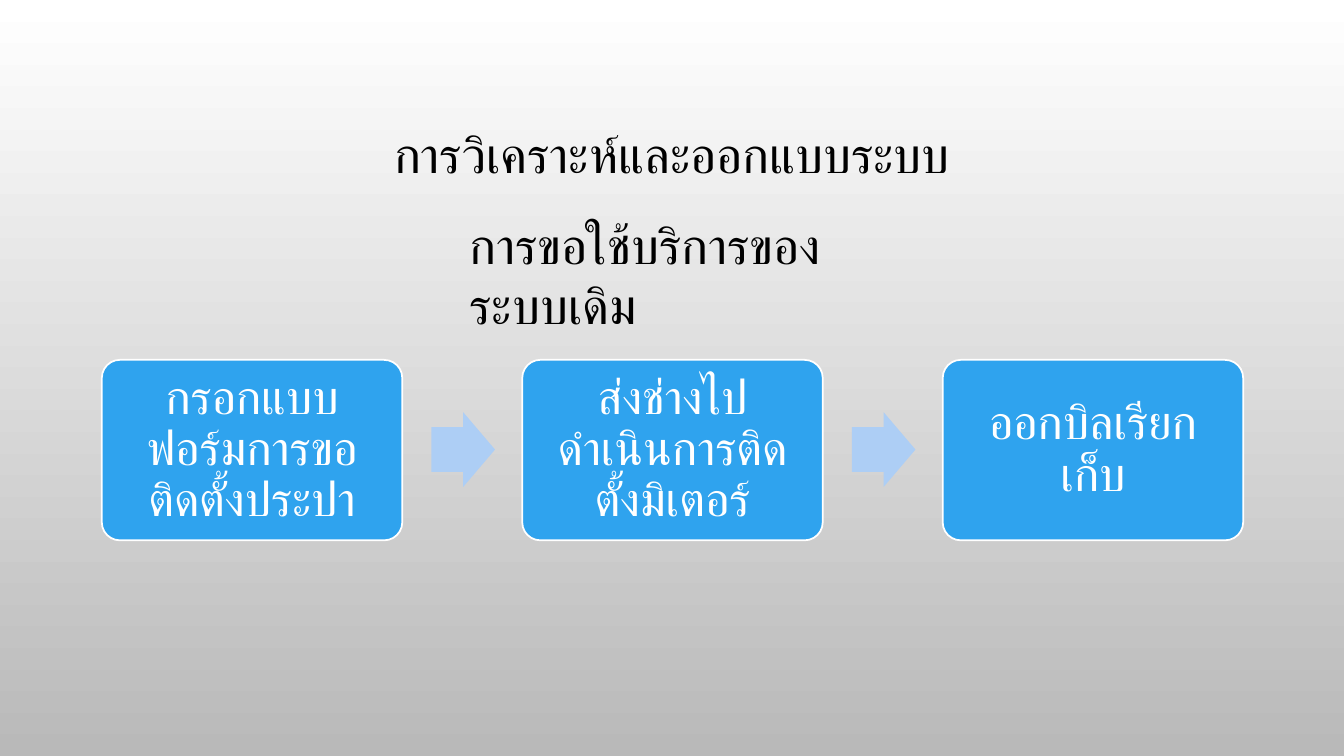
import pptx
import pptx.dml.color
import pptx.enum.shapes
import pptx.enum.text
import pptx.util

Inches = pptx.util.Inches
Pt = pptx.util.Pt
SHAPES = pptx.enum.shapes.MSO_SHAPE
ALIGN = pptx.enum.text.PP_ALIGN
ANCHOR = pptx.enum.text.MSO_ANCHOR


def rgb(value):
    return pptx.dml.color.RGBColor.from_string(value)


class ProcessSlide:
    """Holds the slide and the style of its elements."""
    ink, paper = "000000", "FFFFFF"
    step_fill, arrow_fill = "2FA3EE", "ADCEF5"
    heading_size, step_size = 36, 34
    tight = 0.9

    def __init__(self, presentation):
        self.slide = presentation.slides.add_slide(presentation.slide_layouts[6])

    def background(self, top, bottom):
        fill = self.slide.background.fill
        fill.gradient()
        fill.gradient_angle = 270
        for stop, color in zip(fill.gradient_stops, (top, bottom)):
            stop.color.rgb = rgb(color)

    def set_text(self, shape, text, font, size, color, align, spacing):
        shape.text_frame.word_wrap = True
        paragraph = shape.text_frame.paragraphs[0]
        paragraph.text = text
        paragraph.alignment = align
        paragraph.line_spacing = spacing
        paragraph.font.name = font
        paragraph.font.size = Pt(size)
        paragraph.font.color.rgb = rgb(color)

    def heading(self, text, box, font, align, spacing, anchor):
        heading = self.slide.shapes.add_textbox(*map(Inches, box))
        heading.text_frame.vertical_anchor = anchor
        self.set_text(heading, text, font, self.heading_size, self.ink, align, spacing)
        return heading

    def block(self, kind, box, fill, adjustments):
        block = self.slide.shapes.add_shape(kind, *map(Inches, box))
        block.shadow.inherit = False
        block.fill.solid()
        block.fill.fore_color.rgb = rgb(fill)
        block.line.fill.background()
        for index, value in enumerate(adjustments):
            block.adjustments[index] = value
        return block

    def step(self, text, box):
        step = self.block(SHAPES.ROUNDED_RECTANGLE, box, self.step_fill, [0.1])
        step.line.color.rgb = rgb(self.paper)
        step.line.width = Pt(1.25)
        frame = step.text_frame
        frame.vertical_anchor = ANCHOR.MIDDLE
        frame.margin_left = frame.margin_right = Inches(0.14)
        frame.margin_top = frame.margin_bottom = Inches(0.14)
        self.set_text(step, text, "Calibri", self.step_size, self.paper,
                      ALIGN.CENTER, self.tight)

    def arrow(self, box):
        self.block(SHAPES.RIGHT_ARROW, box, self.arrow_fill, [0.6, 0.5])


def main():
    presentation = pptx.Presentation()
    presentation.slide_width = Inches(13.33)
    presentation.slide_height = Inches(7.5)

    page = ProcessSlide(presentation)
    page.background("FFFFFF", "B9B9B9")
    page.heading("การวิเคราะห์และออกแบบระบบ", (1, 0.68, 11.33, 1.75),
                 "Arial", ALIGN.CENTER, page.tight, ANCHOR.MIDDLE)

    steps = [
        "กรอกแบบฟอร์มการขอติดตั้งประปา",
        "ส่งช่างไปดำเนินการติดตั้งมิเตอร์",
        "ออกบิลเรียกเก็บ",
    ]
    first_left, pitch = 1.01, 4.17
    for index, text in enumerate(steps):
        left = first_left + index * pitch
        if index:
            page.arrow((left - 0.9, 4.09, 0.63, 0.74))
        page.step(text, (left, 3.57, 2.98, 1.79))

    subtitle = page.heading("การขอใช้บริการของระบบเดิม", (4.56, 2.07, 4.22, 0.71),
                            "Calibri", ALIGN.LEFT, 1.0, ANCHOR.TOP)
    subtitle.text_frame.auto_size = pptx.enum.text.MSO_AUTO_SIZE.SHAPE_TO_FIT_TEXT

    presentation.save("out.pptx")


if __name__ == "__main__":
    main()
